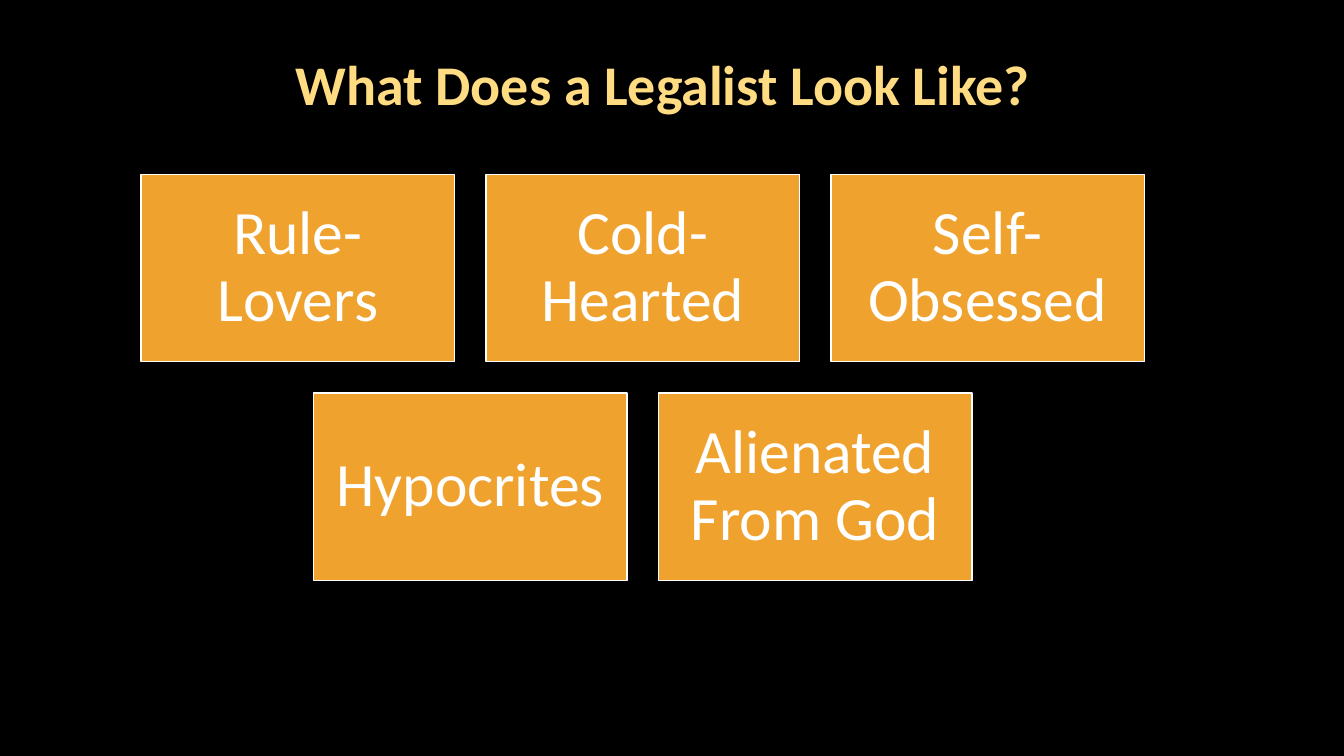
import dataclasses

import pptx
import pptx.dml.color
import pptx.enum.shapes
import pptx.enum.text
import pptx.util

ALIGN = pptx.enum.text.PP_ALIGN
ANCHOR = pptx.enum.text.MSO_ANCHOR


@dataclasses.dataclass(frozen=True)
class Theme:
    font: str = "Calibri"
    background: str = "000000"
    title_color: str = "FFDB82"
    card_fill: str = "F0A22E"
    card_ink: str = "FFFFFF"
    title_size: int = 40
    card_size: int = 44
    border: int = 1


@dataclasses.dataclass(frozen=True)
class CardGrid:
    """Origin, card size and gap of the card rows, in inches."""
    left: float = 1.4
    top: float = 1.73
    width: float = 3.11
    height: float = 1.86
    gap: float = 0.31
    columns: int = 3

    def cell(self, column, row):
        return (self.left + column * (self.width + self.gap),
                self.top + row * (self.height + self.gap), self.width, self.height)


def rgb(color):
    return pptx.dml.color.RGBColor.from_string(color)


def apply(target, formats):
    for name, value in formats.items():
        setattr(target, name, value)


class LegalistSlide:
    def __init__(self, deck, theme, grid):
        self.theme, self.grid = theme, grid
        self.slide = deck.slides.add_slide(deck.slide_layouts[6])
        backdrop = self.slide.background.fill
        backdrop.solid()
        backdrop.fore_color.rgb = rgb(theme.background)

    def label(self, holder, wording, size, color, anchor, insets, bold=False, before=0):
        frame = holder.text_frame
        across, down = (pptx.util.Inches(inset) for inset in insets)
        apply(frame, {"word_wrap": True, "vertical_anchor": anchor,
                      "margin_left": across, "margin_right": across,
                      "margin_top": down, "margin_bottom": down})
        paragraph = frame.paragraphs[0]
        apply(paragraph, {"alignment": ALIGN.CENTER, "line_spacing": 0.9,
                          "space_before": pptx.util.Pt(before)})
        run = paragraph.add_run()
        run.text = wording
        apply(run.font, {"name": self.theme.font, "size": pptx.util.Pt(size), "bold": bold})
        run.font.color.rgb = rgb(color)

    def title(self, wording, box):
        heading = self.slide.shapes.add_textbox(*map(pptx.util.Inches, box))
        self.label(heading, wording, self.theme.title_size, self.theme.title_color,
                   ANCHOR.BOTTOM, (0.1, 0.05), bold=True, before=10)

    def card(self, wording, column, row):
        trait = self.slide.shapes.add_shape(
            pptx.enum.shapes.MSO_SHAPE.RECTANGLE,
            *map(pptx.util.Inches, self.grid.cell(column, row)))
        trait.shadow.inherit = False
        trait.fill.solid()
        trait.fill.fore_color.rgb = rgb(self.theme.card_fill)
        trait.line.color.rgb = rgb(self.theme.card_ink)
        trait.line.width = pptx.util.Pt(self.theme.border)
        self.label(trait, wording, self.theme.card_size, self.theme.card_ink,
                   ANCHOR.MIDDLE, (0.18, 0.18))

    def card_rows(self, rows):
        # A shorter row is centred under the full one
        for row, traits in enumerate(rows):
            indent = (self.grid.columns - len(traits)) / 2
            for position, trait in enumerate(traits):
                self.card(trait, indent + position, row)


def main():
    deck = pptx.Presentation()
    apply(deck, {"slide_width": pptx.util.Inches(13.33),
                 "slide_height": pptx.util.Inches(7.5)})
    legalist = LegalistSlide(deck, Theme(), CardGrid())

    # Heading
    legalist.title("What Does a Legalist Look Like?", (0.82, 0.4, 11.51, 0.82))

    # Traits
    legalist.card_rows([
        ["Rule-Lovers", "Cold-Hearted", "Self-Obsessed"],
        ["Hypocrites", "Alienated From God"],
    ])

    deck.save("out.pptx")


if __name__ == "__main__":
    main()
